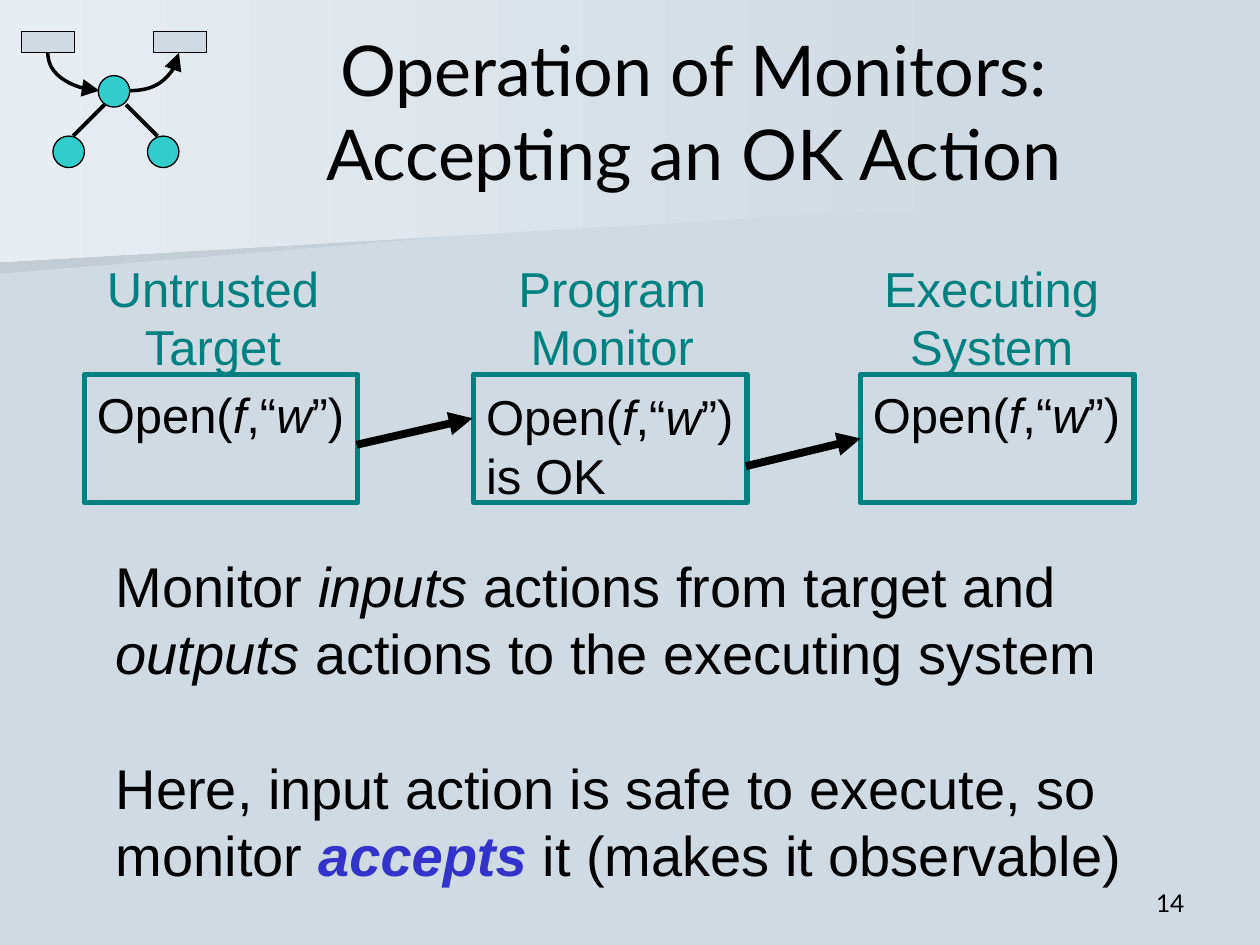
"""Build the slide on how a program monitor accepts an OK action."""
from dataclasses import dataclass

from lxml import etree
from pptx import Presentation
from pptx.dml.color import RGBColor
from pptx.enum import shapes, text
from pptx.oxml.ns import qn
from pptx.util import Inches, Pt


@dataclass(frozen=True)
class Theme:
    background: RGBColor = RGBColor(0xD0, 0xDA, 0xE2)
    fold: RGBColor = RGBColor(0xC3, 0xCC, 0xD3)
    glow: RGBColor = RGBColor(0xE7, 0xED, 0xF1)
    node: RGBColor = RGBColor(0x33, 0xCC, 0xCC)
    teal: RGBColor = RGBColor(0x00, 0x80, 0x80)
    accent: RGBColor = RGBColor(0x33, 0x33, 0xCC)
    black: RGBColor = RGBColor(0, 0, 0)
    heading_font: str = "Lato"
    body_font: str = "Arial"
    title_size: int = 40
    body_size: int = 32
    label_size: int = 28
    number_size: int = 14


theme = Theme()
presentation = Presentation()
presentation.slide_width, presentation.slide_height = Inches(10), Inches(7.5)
slide = presentation.slides.add_slide(presentation.slide_layouts[5])
slide.background.fill.solid()
slide.background.fill.fore_color.rgb = theme.background


def add_text(box, paragraphs, size, color, align=text.PP_ALIGN.LEFT):
    """Add a text box whose paragraphs are lists of (words, style letters)."""
    shape = slide.shapes.add_textbox(*map(Inches, box))
    frame = shape.text_frame
    frame.word_wrap = False
    frame.auto_size = text.MSO_AUTO_SIZE.SHAPE_TO_FIT_TEXT
    for index, pieces in enumerate(paragraphs):
        paragraph = frame.paragraphs[0] if index == 0 else frame.add_paragraph()
        paragraph.alignment = align
        paragraph.line_spacing = Pt(size * 1.2)
        for words, style in pieces:
            run = paragraph.add_run()
            run.text = words
            run.font.name, run.font.size = theme.body_font, Pt(size)
            run.font.bold, run.font.italic = "b" in style, "i" in style
            run.font.color.rgb = theme.accent if "b" in style else color
    return frame


def add_line(kind, ends, width, arrow=None, head_size="med"):
    """Add a black connector, with an arrowhead at headEnd or tailEnd."""
    connector = slide.shapes.add_connector(kind, *map(Inches, ends))
    connector.line.width = Pt(width)
    connector.line.color.rgb = theme.black
    properties = connector._element.spPr
    if arrow:
        etree.SubElement(properties.find(qn("a:ln")), qn(f"a:{arrow}"),
                         type="triangle", w=head_size, len=head_size)
    etree.SubElement(properties, qn("a:effectLst"))
    return connector


fold_points = [(7.78, 1.53), (0, 2.17), (0, 1.01), (7.79, 1.01), (7.78, 1.28)]
glow_points = [(7.92, 1.62), (0, 2.08), (0, 0), (7.92, 0)]
for points, color in [(fold_points, theme.fold), (glow_points, theme.glow)]:
    corners = [(Inches(x), Inches(y)) for x, y in points]
    builder = slide.shapes.build_freeform(*corners[0])
    builder.add_line_segments(corners[1:], close=True)
    shape = builder.convert_to_shape()
    shape.shadow.inherit = False
    shape.line.fill.background()
    shape.fill.gradient()
    shape.fill.gradient_angle = 180
    for stop, stop_color, position in zip(
        shape.fill.gradient_stops, (theme.background, color), (0, 1)
    ):
        stop.color.rgb, stop.position = stop_color, position

oval, rectangle = shapes.MSO_SHAPE.OVAL, shapes.MSO_SHAPE.RECTANGLE
emblem = [(oval, x, y, 0.25, 0.25, theme.node) for x, y in [(0.42, 1.08), (1.17, 1.08), (0.78, 0.6)]]
emblem += [(rectangle, x, 0.25, 0.42, 0.17, theme.background) for x in (0.17, 1.22)]
for kind, *box, color in emblem:
    shape = slide.shapes.add_shape(kind, *map(Inches, box))
    shape.shadow.inherit = False
    shape.fill.solid()
    shape.fill.fore_color.rgb = color
    shape.line.color.rgb = theme.black
    shape.line.width = Pt(0.75)

straight, curve = shapes.MSO_CONNECTOR.STRAIGHT, shapes.MSO_CONNECTOR.CURVE
for ends in [(0.58, 1.08, 0.83, 0.83), (1, 0.83, 1.25, 1.08)]:
    add_line(straight, ends, 2.25)
for ends, arrow in [((0.79, 0.72, 0.38, 0.42), "headEnd"), ((1.03, 0.72, 1.42, 0.42), "tailEnd")]:
    connector = add_line(curve, ends, 2, arrow, "lg")
    connector._element.spPr.find(qn("a:prstGeom")).set("prst", "curvedConnector2")

title = slide.shapes.title
slide.shapes._spTree.append(title._element)
title.left, title.top, title.width, title.height = map(Inches, (1.67, 0.25, 7.67, 1.25))
title.text_frame.text = "Operation of Monitors: Accepting an OK Action"
title.text_frame.word_wrap = True
title.text_frame.auto_size = text.MSO_AUTO_SIZE.NONE
title.text_frame.vertical_anchor = text.MSO_ANCHOR.MIDDLE
title.text_frame.paragraphs[0].alignment = text.PP_ALIGN.CENTER
title_font = title.text_frame.paragraphs[0].runs[0].font
title_font.name, title_font.size = theme.heading_font, Pt(theme.title_size)
title_font.color.rgb = theme.black

action = [("Open(", ""), ("f", "i"), (",“", ""), ("w", "i"), ("”)", "")]
label_width = 2.2
stages = [
    (("Untrusted", "Target"), 1.69, 0.67, 3, [action]),
    (("Program", "Monitor"), 4.86, 3.76, 3.02, [action, [("is OK", "")]]),
    (("Executing", "System"), 7.87, 6.83, 3, [action]),
]
boxes = []
for names, label_center, left, text_top, lines in stages:
    add_text((label_center - label_width / 2, 2, label_width, 1.04), [[(name, "")] for name in names],
             theme.label_size, theme.teal, text.PP_ALIGN.CENTER)
    shape = slide.shapes.add_shape(rectangle, *map(Inches, (left, 2.97, 2.17, 1.02)))
    shape.shadow.inherit = False
    shape.fill.background()
    shape.line.color.rgb = theme.teal
    shape.line.width = Pt(3)
    boxes.append(shape)
    add_text((left, text_top, 2.17, 0.1 + 0.47 * len(lines)), lines, theme.label_size, theme.black)

add_line(straight, (2.83, 3.53, 3.75, 3.32), 4.5, "tailEnd")
output_arrow = add_line(straight, (5.92, 3.7, 6.83, 3.48), 4.5, "tailEnd")
output_arrow.end_connect(boxes[2], 1)

explanation = add_text((0.82, 4.33, 8.2, 2.77), [
    [("Monitor ", ""), ("inputs", "i"), (" actions from target and", "")],
    [("outputs", "i"), (" actions to the executing system", "")],
    [("Here, input action is safe to execute, so", "")],
    [("monitor ", ""), ("accepts", "bi"), (" it (makes it observable)", "")],
], theme.body_size, theme.black)
explanation.paragraphs[2].space_before = Pt(theme.body_size * 1.2)

number = add_text((7.17, 6.83, 2.33, 0.5), [[("14", "")]],
                  theme.number_size, theme.black, text.PP_ALIGN.RIGHT)
number.word_wrap = True
number.auto_size = text.MSO_AUTO_SIZE.NONE
number.vertical_anchor = text.MSO_ANCHOR.BOTTOM
number.paragraphs[0].runs[0].font.name = theme.heading_font

presentation.save("out.pptx")
